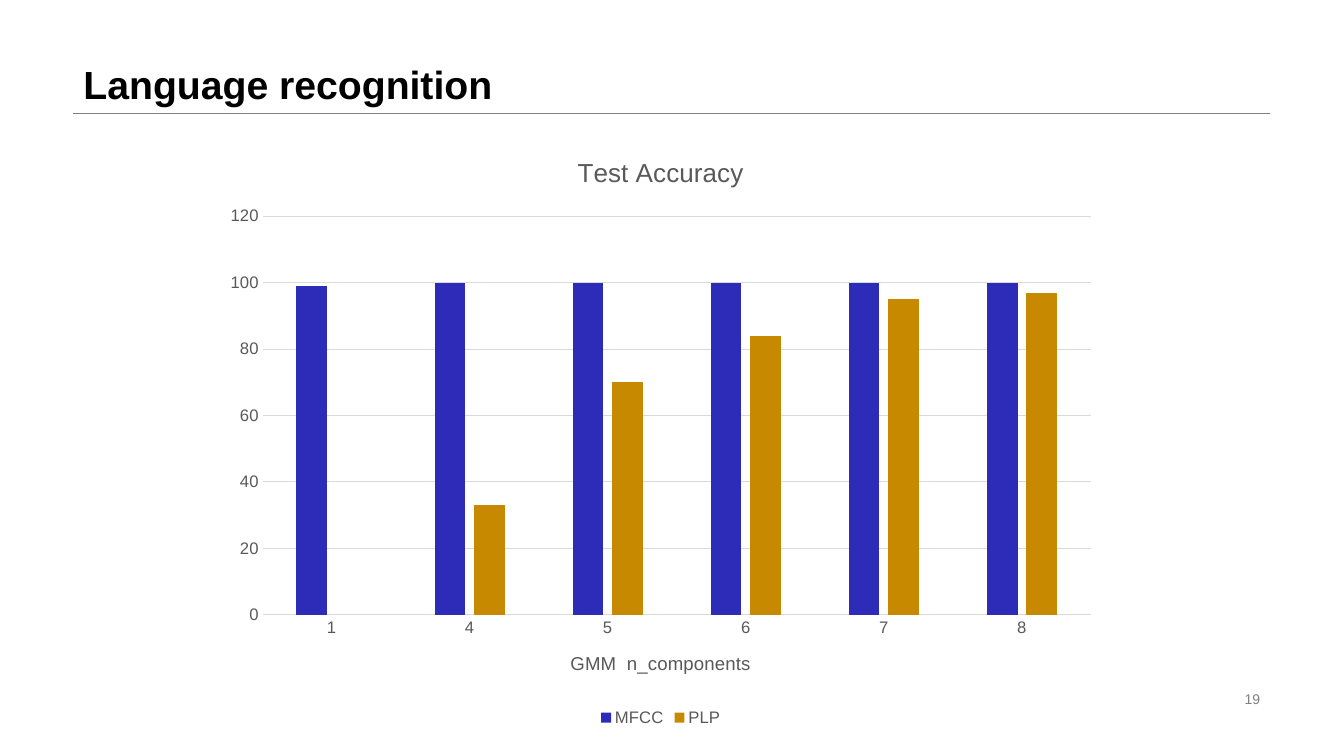
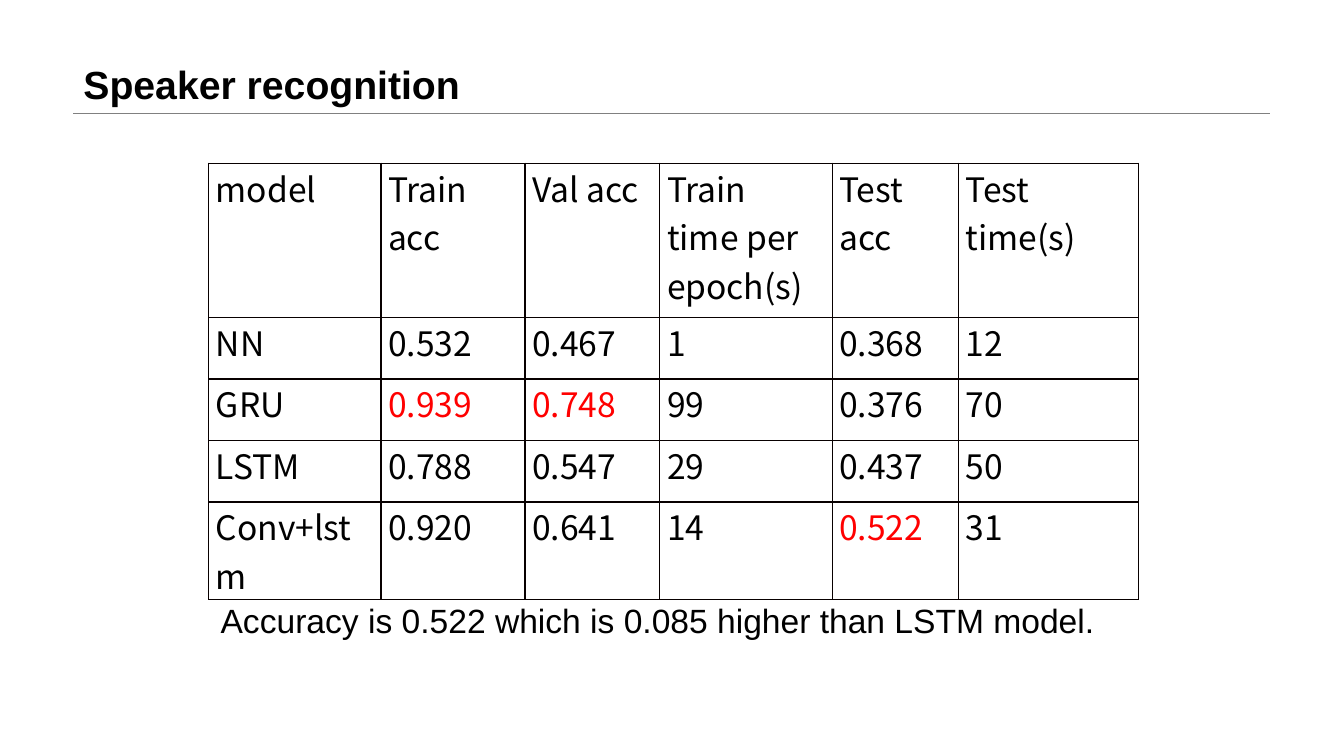
from lxml import etree
from pptx import Presentation
from pptx.chart.data import CategoryChartData as Data
from pptx.dml.color import RGBColor as Rgb
from pptx.enum.chart import XL_CHART_TYPE as Kind, XL_LEGEND_POSITION as Place
from pptx.enum.chart import XL_TICK_MARK as Tick
from pptx.enum.shapes import MSO_CONNECTOR as Link
from pptx.enum.text import MSO_ANCHOR as Anchor, MSO_AUTO_SIZE as Auto, PP_ALIGN as Align
from pptx.oxml import parse_xml
from pptx.oxml.ns import nsdecls, qn
from pptx.util import Cm, Pt

BLACK = Rgb(0x00, 0x00, 0x00)
EDGE = Rgb(0x08, 0x00, 0x00)
RED = Rgb(0xFF, 0x00, 0x00)
GREY = Rgb(0x80, 0x80, 0x80)
SLATE = Rgb(0x59, 0x59, 0x59)
PALE = Rgb(0xD9, 0xD9, 0xD9)
BLUE = Rgb(0x2C, 0x2C, 0xB9)
GOLD = Rgb(0xC6, 0x89, 0x00)

LEFT, RULE, WIDE = 1.85, 2.84, 30.15


def style(size, color, name="Arial", bold=False):
    return {"size": Pt(size), "name": name, "bold": bold, "color": color}


HEAD = style(28, BLACK, bold=True)
BODY = style(24, BLACK)
CELL = style(24, BLACK, "Noto Sans CJK SC")
FOOT = style(10, GREY)
LABEL = style(11.9, SLATE)
AXIS = style(13.3, SLATE)
TOP = style(18.6, SLATE)


def dress(font, form):
    """Apply a dict of format values to a font."""
    for key, value in form.items():
        if key == "color":
            font.color.rgb = value
        else:
            setattr(font, key, value)


def stroke(line, color, width):
    line.color.rgb = color
    line.width = Pt(width)


class Deck:
    def __init__(self):
        self.file = Presentation()
        self.file.slide_width, self.file.slide_height = Cm(33.87), Cm(19.05)
        self.slide = None

    def page(self, title):
        """Start a slide with its title and the rule below it."""
        self.slide = self.file.slides.add_slide(self.file.slide_layouts[5])
        rule = self.slide.shapes.add_connector(
            Link.STRAIGHT, Cm(LEFT), Cm(RULE), Cm(LEFT + WIDE), Cm(RULE))
        stroke(rule.line, GREY, 0.25)
        etree.SubElement(rule._element.spPr, qn("a:effectLst"))
        head = self.slide.shapes.title
        head.left, head.top, head.width, head.height = Cm(LEFT), Cm(0), Cm(WIDE), Cm(RULE)
        self.put(head.text_frame, title, HEAD, Align.LEFT, Anchor.BOTTOM).line_spacing = 0.9

    def put(self, frame, text, form, align=Align.LEFT, anchor=Anchor.TOP):
        frame.word_wrap = True
        frame.auto_size = Auto.NONE
        frame.vertical_anchor = anchor
        para = frame.paragraphs[0]
        para.alignment = align
        self.run(para, text, form)
        return para

    def run(self, para, text, form):
        run = para.add_run()
        run.text = text
        dress(run.font, form)

    def text(self, box, text, form, **rest):
        shape = self.slide.shapes.add_textbox(*map(Cm, box))
        self.put(shape.text_frame, text, form, **rest)

    def label(self, owner, text, form):
        """Title a chart or an axis."""
        self.run(owner.text_frame.paragraphs[0], text, form)

    def chart(self, box, title, base, cats, rows):
        data = Data()
        data.categories = cats
        for name, (vals, _) in rows.items():
            data.add_series(name, vals)
        chart = self.slide.shapes.add_chart(
            Kind.COLUMN_CLUSTERED, *map(Cm, box), data).chart
        dress(chart.font, LABEL)
        self.label(chart.chart_title, title, TOP)

        # Bars
        plot = chart.plots[0]
        plot.gap_width, plot.overlap, plot.vary_by_categories = 219, -27, False
        for bar, (_, color) in zip(plot.series, rows.values()):
            bar.format.fill.solid()
            bar.format.fill.fore_color.rgb = color

        # Axes
        across, up = chart.category_axis, chart.value_axis
        for axis in (across, up):
            axis.major_tick_mark = axis.minor_tick_mark = Tick.NONE
            dress(axis.tick_labels.font, LABEL)
        stroke(across.format.line, PALE, 0.75)
        self.label(across.axis_title, base, AXIS)
        up.minimum_scale, up.maximum_scale, up.major_unit = 0, 120, 20
        up.format.line.fill.background()
        stroke(up.major_gridlines.format.line, PALE, 0.75)

        # Legend
        chart.has_legend = True
        chart.legend.position = Place.BOTTOM
        chart.legend.include_in_layout = False
        dress(chart.legend.font, LABEL)

    def border(self, cell):
        props = cell._tc.get_or_add_tcPr()
        for side in "LRTB":
            props.append(parse_xml(
                f'<a:ln{side} {nsdecls("a")} w="{Pt(1)}"><a:solidFill>'
                f'<a:srgbClr val="{EDGE}"/></a:solidFill></a:ln{side}>'))

    def table(self, left, top, cols, highs, rows, best):
        grid = self.slide.shapes.add_table(
            len(rows), len(cols), Cm(left), Cm(top), Cm(sum(cols)), Cm(sum(highs))).table
        grid.first_row = grid.horz_banding = False
        for col, wide in zip(grid.columns, cols):
            col.width = Cm(wide)
        for row, high, texts in zip(grid.rows, highs, rows):
            row.height = Cm(high)
            for cell, text in zip(row.cells, texts):
                self.border(cell)
                cell.fill.background()
                cell.margin_left = cell.margin_right = Cm(0.18)
                cell.margin_top = cell.margin_bottom = 0
                color = RED if text in best else BLACK
                self.run(cell.text_frame.paragraphs[0], text, {**CELL, "color": color})


def main():
    deck = Deck()

    # Language: accuracy chart
    deck.page("Language recognition")
    deck.text((23.93, 17.32, 8.08, 0.58), "19", FOOT,
              align=Align.RIGHT, anchor=Anchor.MIDDLE)
    deck.chart((5.36, 3.35, 22.58, 15.06), "Test Accuracy", "GMM  n_components",
               list("145678"),
               {"MFCC": ((99, 100, 100, 100, 100, 100), BLUE),
                "PLP": ((None, 33, 70, 84, 95, 97), GOLD)})

    # Speaker: model table
    deck.page("Speaker recognition")
    deck.table(5.26, 4.11, (4.34, 3.63, 3.4, 4.34, 3.18, 4.55), [3.89] + [1.55] * 4, (
        ("model", "Train acc", "Val acc", "Train time per epoch(s)", "Test acc", "Test time(s)"),
        ("NN", "0.532", "0.467", "1", "0.368", "12"),
        ("GRU", "0.939", "0.748", "99", "0.376", "70"),
        ("LSTM", "0.788", "0.547", "29", "0.437", "50"),
        ("Conv+lstm", "0.920", "0.641", "14", "0.522", "31"),
    ), {"0.939", "0.748", "0.522"})
    deck.text((5.31, 14.99, 23.39, 1.27),
              "Accuracy is 0.522 which is 0.085 higher than LSTM model.", BODY)

    deck.file.save("out.pptx")


if __name__ == "__main__":
    main()
